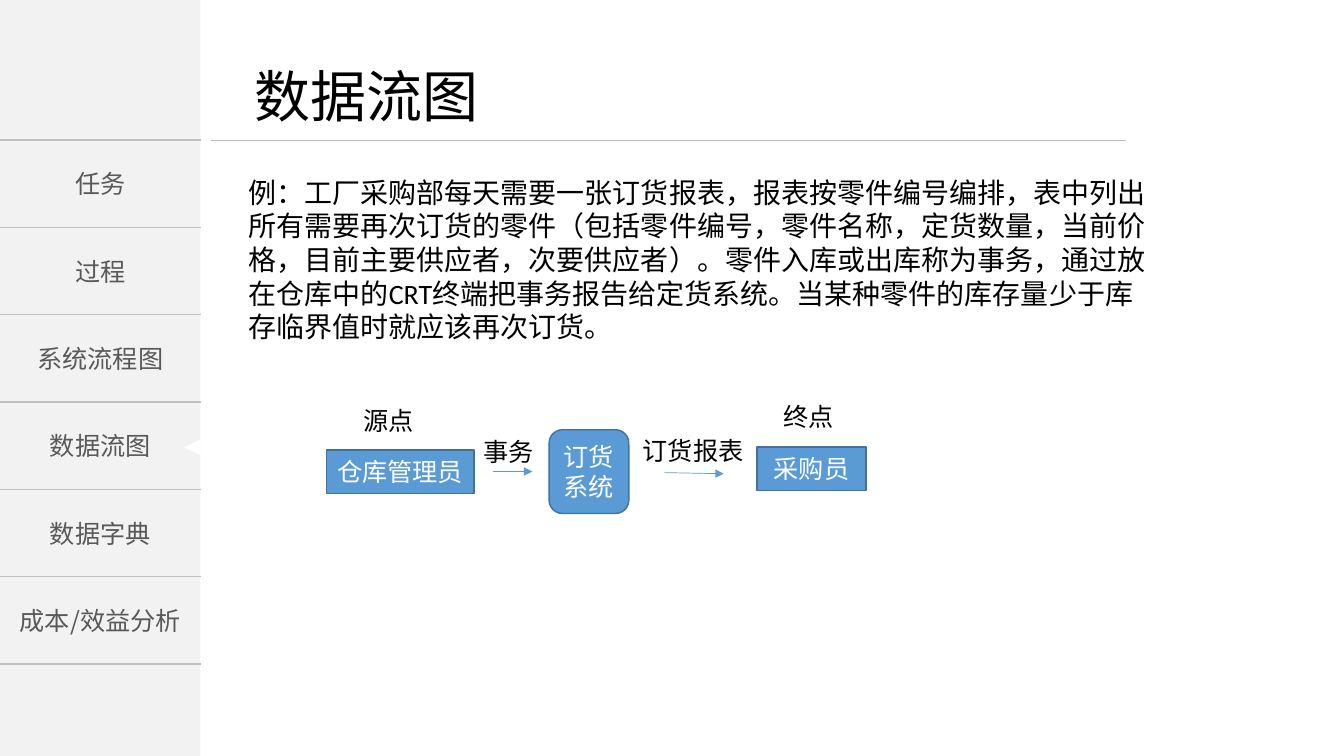
from dataclasses import dataclass

from pptx import Presentation
from pptx.dml.color import RGBColor as Rgb
from pptx.enum.shapes import MSO_CONNECTOR as Connector, MSO_SHAPE as Shape
from pptx.enum.text import MSO_ANCHOR as Anchor, PP_ALIGN as Align
from pptx.oxml.ns import qn
from pptx.oxml.xmlchemy import OxmlElement as Element
from pptx.util import Pt


@dataclass(frozen=True)
class Theme:
    latin: str = "Calibri"
    chinese: str = "Noto Sans CJK SC"
    ink: str = "000000"
    white: str = "FFFFFF"
    panel: str = "F2F2F2"
    menu: str = "595959"
    rule: str = "BFBFBF"
    node: str = "5B9BD5"
    node_edge: str = "41719C"
    title_size: int = 40
    body_size: int = 20
    label_size: int = 18
    leading: float = 1.2


def apply(target, values):
    for name, value in values.items():
        setattr(target, name, value)


class SlideBuilder:
    """Draws styled elements on one slide, with lengths in points."""

    def __init__(self, slide, theme):
        self.shapes = slide.shapes
        self.theme = theme

    def fill_text(self, element, text, size, color, latin=None, centred=False,
                  wrap=True, side=7.2, indent=0):
        frame = element.text_frame
        apply(frame, {
            "margin_left": Pt(side), "margin_right": Pt(side),
            "margin_top": Pt(3.6), "margin_bottom": Pt(3.6),
            "word_wrap": wrap,
            "vertical_anchor": Anchor.MIDDLE if centred else Anchor.TOP,
        })
        paragraph = frame.paragraphs[0]
        apply(paragraph, {
            "alignment": Align.CENTER if centred else Align.LEFT,
            "line_spacing": Pt(size * self.theme.leading),
        })
        if indent:
            paragraph._p.get_or_add_pPr().set("marL", str(Pt(indent)))
        run = paragraph.add_run()
        run.text = text
        apply(run.font, {"size": Pt(size), "name": latin or self.theme.latin})
        run.font.color.rgb = Rgb.from_string(color)
        east_asian = Element("a:ea")
        east_asian.set("typeface", self.theme.chinese)
        run._r.get_or_add_rPr().append(east_asian)

    def text(self, box, text, size, color, **style):
        self.fill_text(self.shapes.add_textbox(*map(Pt, box)), text, size, color, **style)

    def block(self, kind, box, fill, edge=None, rotation=0):
        block = self.shapes.add_shape(kind, *map(Pt, box))
        block.shadow.inherit = False
        block.rotation = rotation
        block.fill.solid()
        block.fill.fore_color.rgb = Rgb.from_string(fill)
        if edge:
            block.line.color.rgb = Rgb.from_string(edge)
            block.line.width = Pt(1)
        else:
            block.line.fill.background()
        return block

    def node(self, kind, box, text):
        theme = self.theme
        node = self.block(kind, box, theme.node, theme.node_edge)
        self.fill_text(node, text, theme.label_size, theme.white, centred=True, side=3.6)

    def line(self, start, end, color, width, arrow=False):
        line = self.shapes.add_connector(Connector.STRAIGHT, *map(Pt, (*start, *end)))
        line.line.color.rgb = Rgb.from_string(color)
        line.line.width = Pt(width)
        properties = line._element.spPr
        if arrow:
            head = Element("a:tailEnd")
            head.set("type", "triangle")
            properties.find(qn("a:ln")).append(head)
        properties.append(Element("a:effectLst"))


TOPICS = ["任务", "过程", "系统流程图", "数据流图", "数据字典", "成本/效益分析"]
MENU_TOP, MENU_WIDTH, ROW_HEIGHT = 100, 143.3, 62.4
EXAMPLE = (
    "例：工厂采购部每天需要一张订货报表，报表按零件编号编排，表中列出所有需要再次订货的零件"
    "（包括零件编号，零件名称，定货数量，当前价格，目前主要供应者，次要供应者）。"
    "零件入库或出库称为事务，通过放在仓库中的CRT终端把事务报告给定货系统。"
    "当某种零件的库存量少于库存临界值时就应该再次订货。"
)
NODES = [
    (Shape.RECTANGLE, (233.3, 321.4, 105.4, 31), "仓库管理员"),
    (Shape.ROUNDED_RECTANGLE, (392.4, 307, 57, 59.8), "订货系统"),
    (Shape.RECTANGLE, (541, 319.2, 77.8, 31), "采购员"),
]
FLOWS = [((352.4, 336.8), (380.4, 336.8)), ((474.8, 337.6), (517.2, 338.4))]
LABELS = [
    ((252.7, 285.8, 64, 28.8), "源点"),
    ((553, 283, 53.3, 28.8), "终点"),
    ((452.2, 307.4, 92.2, 28.8), "订货报表"),
    ((338.4, 308.2, 56.2, 28.8), "事务"),
]


def draw_menu(builder, theme):
    builder.block(Shape.RECTANGLE, (0, 0, MENU_WIDTH, 540), theme.panel)
    for row, topic in enumerate(TOPICS):
        builder.text((0, MENU_TOP + row * ROW_HEIGHT, MENU_WIDTH, ROW_HEIGHT), topic,
                     theme.label_size, theme.menu, latin=theme.chinese, centred=True)
    for row in range(len(TOPICS) + 1):
        y = MENU_TOP + row * ROW_HEIGHT
        builder.line((0, y), (MENU_WIDTH, y), theme.rule, 1)
    builder.block(Shape.ISOSCELES_TRIANGLE, (131.8, 313.8, 11.5, 11.5),
                  theme.white, rotation=270)


def draw_flow(builder, theme):
    for node in NODES:
        builder.node(*node)
    for start, end in FLOWS:
        builder.line(start, end, theme.node, 0.5, arrow=True)
    for box, label in LABELS:
        builder.text(box, label, theme.label_size, theme.ink)


def main():
    theme = Theme()
    deck = Presentation()
    apply(deck, {"slide_width": Pt(960.5), "slide_height": Pt(540)})
    builder = SlideBuilder(deck.slides.add_slide(deck.slide_layouts[6]), theme)
    builder.line((150.5, MENU_TOP), (805, MENU_TOP), theme.rule, 0.5)
    builder.text((175, 40.3, 174.4, 55.4), "数据流图", theme.title_size, theme.ink,
                 latin=theme.chinese, wrap=False)
    draw_menu(builder, theme)
    builder.text((134.6, 121.7, 700, 127.4), EXAMPLE, theme.body_size, theme.ink, indent=36)
    draw_flow(builder, theme)
    deck.save("out.pptx")


if __name__ == "__main__":
    main()
